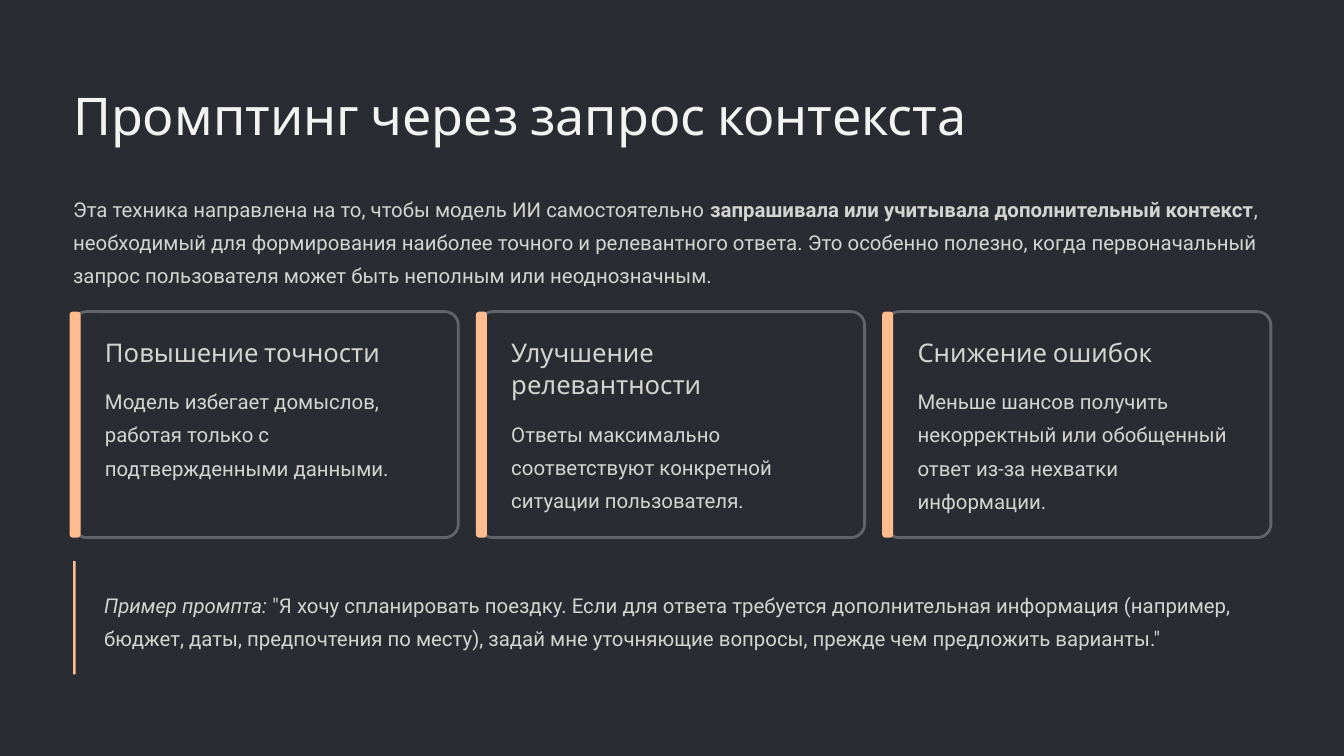
import pptx
import pptx.util
import pptx.dml.color
import pptx.enum.shapes
import pptx.enum.text

Inches = pptx.util.Inches
Pt = pptx.util.Pt
RGBColor = pptx.dml.color.RGBColor
Shape = pptx.enum.shapes.MSO_SHAPE

BACKGROUND = RGBColor(0x29, 0x2C, 0x32)
BORDER = RGBColor(0x61, 0x64, 0x6A)
ACCENT = RGBColor(0xFF, 0xBC, 0x8F)
TITLE_COLOR = RGBColor(0xF3, 0xF3, 0xF2)
TEXT_COLOR = RGBColor(0xD4, 0xD4, 0xD1)

WIDTH, HEIGHT = 16, 9
MARGIN = 0.87
CONTENT_WIDTH = WIDTH - 2 * MARGIN
CARD_GAP = 0.25
CARD_PADDING = 0.38
HEADING_LINE = 0.39
BODY_LINE = 0.4

# font, size, line spacing, colour
TITLE_STYLE = ("Cabin", 44.5, 55.5, TITLE_COLOR)
HEADING_STYLE = ("Cabin", 22, 27.5, TEXT_COLOR)
BODY_STYLE = ("Roboto", 17.5, 28.5, TEXT_COLOR)

INTRO = [
    ("Эта техника направлена на то, чтобы модель ИИ самостоятельно ", ""),
    ("запрашивала или учитывала дополнительный контекст", "bold"),
    (", необходимый для формирования наиболее точного и релевантного ответа. "
     "Это особенно полезно, когда первоначальный запрос пользователя может быть "
     "неполным или неоднозначным.", ""),
]
CARDS = [
    ("Повышение точности", 1,
     "Модель избегает домыслов, работая только с подтвержденными данными.", 3),
    ("Улучшение релевантности", 2,
     "Ответы максимально соответствуют конкретной ситуации пользователя.", 3),
    ("Снижение ошибок", 1,
     "Меньше шансов получить некорректный или обобщенный ответ из-за нехватки "
     "информации.", 4),
]
EXAMPLE = [
    ("Пример промпта:", "italic"),
    (" \"Я хочу спланировать поездку. Если для ответа требуется дополнительная "
     "информация (например, бюджет, даты, предпочтения по месту), задай мне "
     "уточняющие вопросы, прежде чем предложить варианты.\"", ""),
]


def add_text(slide, box, runs, style, wrap=True):
    font_name, size, line_spacing, color = style
    frame = slide.shapes.add_textbox(*map(Inches, box)).text_frame
    frame.margin_left = frame.margin_right = 0
    frame.margin_top = frame.margin_bottom = 0
    frame.word_wrap = wrap
    paragraph = frame.paragraphs[0]
    paragraph.alignment = pptx.enum.text.PP_ALIGN.LEFT
    paragraph.line_spacing = Pt(line_spacing)
    for text, emphasis in runs:
        run = paragraph.add_run()
        run.text = text
        run.font.name = font_name
        run.font.size = Pt(size)
        run.font.color.rgb = color
        run.font.bold = emphasis == "bold"
        run.font.italic = emphasis == "italic"


def add_block(slide, kind, box, fill, border=None, corner=None):
    shape = slide.shapes.add_shape(kind, *map(Inches, box))
    shape.shadow.inherit = False
    shape.fill.solid()
    shape.fill.fore_color.rgb = fill
    if border is None:
        shape.line.fill.background()
    else:
        shape.line.color.rgb = border
        shape.line.width = Pt(2.4)
    if corner is not None:
        shape.adjustments[0] = corner


def add_header(slide, box):
    left, top, width, height = box
    add_text(slide, (left, top, width, 0.78),
             [("Промптинг через запрос контекста", "")], TITLE_STYLE, wrap=False)
    intro_height = 3 * BODY_LINE
    add_text(slide, (left, top + height - intro_height, width, intro_height),
             INTRO, BODY_STYLE)


def add_card(slide, box, card):
    left, top, width, height = box
    heading, heading_lines, body, body_lines = card
    add_block(slide, Shape.ROUNDED_RECTANGLE, box, BACKGROUND, BORDER, 0.06)
    add_block(slide, Shape.ROUNDED_RECTANGLE, (left - 0.04, top, 0.13, height),
              ACCENT, corner=0.28)
    text_left = left + CARD_PADDING
    text_width = width - 0.66
    heading_top = top + 0.28
    heading_height = heading_lines * HEADING_LINE
    add_text(slide, (text_left, heading_top, text_width, heading_height),
             [(heading, "")], HEADING_STYLE, wrap=heading_lines > 1)
    add_text(slide, (text_left, heading_top + heading_height + 0.15,
                     text_width, body_lines * BODY_LINE),
             [(body, "")], BODY_STYLE)


def add_cards(slide, box):
    left, top, width, height = box
    card_width = (width - CARD_GAP * (len(CARDS) - 1)) / len(CARDS)
    for column, card in enumerate(CARDS):
        card_left = left + column * (card_width + CARD_GAP)
        add_card(slide, (card_left, top, card_width, height), card)


def add_example(slide, box):
    left, top, width, height = box
    indent = 0.37
    add_text(slide, (left + indent, top + 0.28, width - indent, 2 * BODY_LINE),
             EXAMPLE, BODY_STYLE)
    add_block(slide, Shape.RECTANGLE, (left, top, 0.03, height), ACCENT)


def main():
    presentation = pptx.Presentation()
    presentation.slide_width = Inches(WIDTH)
    presentation.slide_height = Inches(HEIGHT)
    slide = presentation.slides.add_slide(presentation.slide_layouts[6])
    slide.background.fill.solid()
    slide.background.fill.fore_color.rgb = BACKGROUND
    add_header(slide, (MARGIN, 0.97, CONTENT_WIDTH, 2.47))
    add_cards(slide, (MARGIN, 3.71, CONTENT_WIDTH, 2.69))
    add_example(slide, (MARGIN, 6.68, CONTENT_WIDTH, 1.35))
    presentation.save("out.pptx")


if __name__ == "__main__":
    main()
